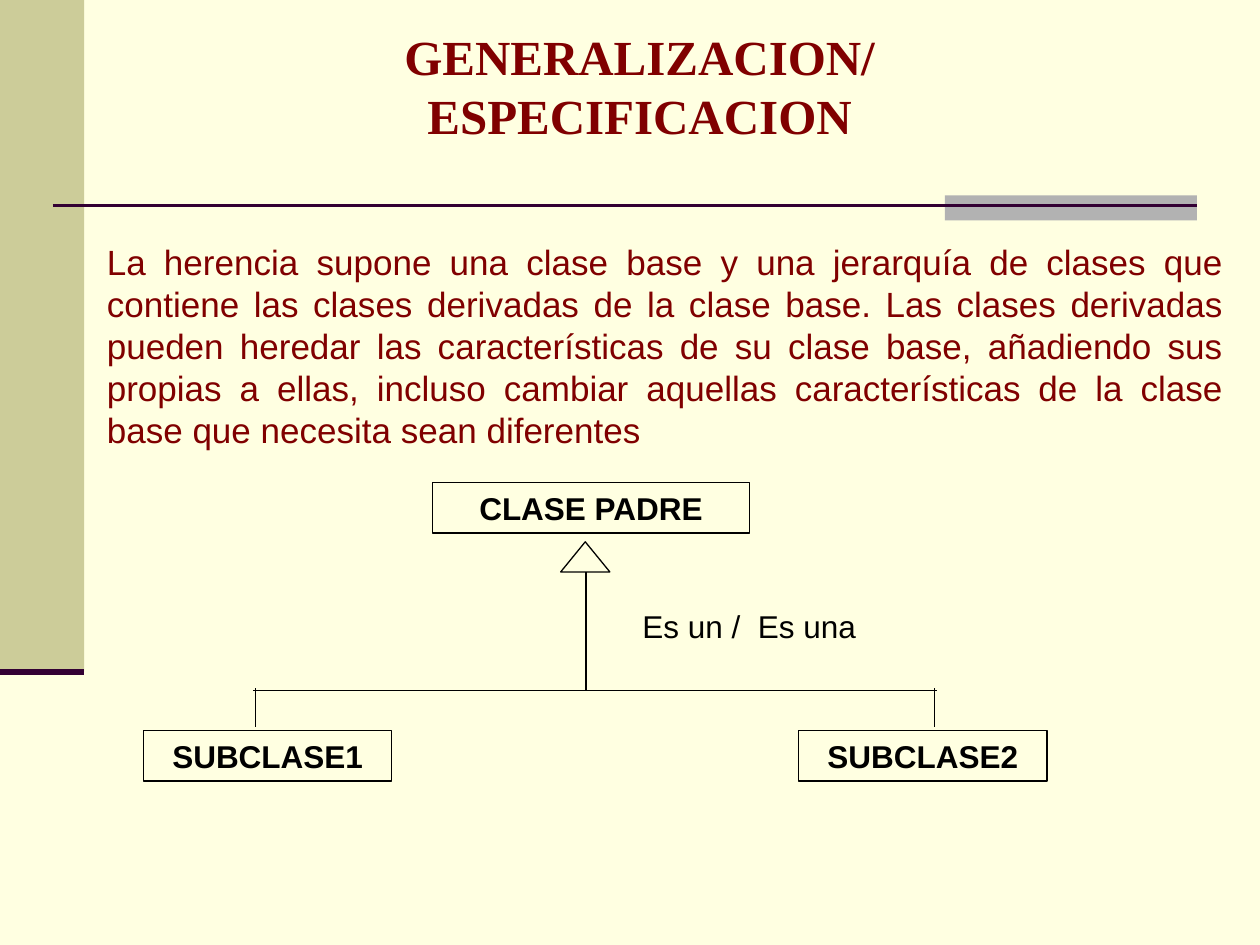
"""Build the generalization and specification slide with its class hierarchy diagram."""
from dataclasses import dataclass
from typing import Any, Optional

from lxml import etree
from pptx import Presentation
from pptx import util as u
from pptx.dml.color import RGBColor
from pptx.enum import shapes, text
from pptx.oxml import ns


@dataclass(frozen=True)
class Theme:
    """Hold the colours, fonts and sizes of the slide."""
    background: str = "FFFFE1"
    band: str = "CCCC99"
    tab: str = "B2B2B2"
    rule: str = "330033"
    heading: str = "800000"
    ink: str = "000000"
    title_font: str = "Times New Roman"
    body_font: str = "Arial"
    title_size: float = 28
    body_size: float = 20
    label_size: float = 18
    thin: float = 0.75


THEME = Theme()


@dataclass(frozen=True)
class Area:
    """Describe a rectangle in points."""
    left: float
    top: float
    width: float
    height: float

    def lengths(self) -> tuple:
        """Return the position and size as lengths."""
        return tuple(map(u.Pt, (self.left, self.top, self.width, self.height)))


@dataclass(frozen=True)
class TextStyle:
    """Describe how a text is set."""
    size: float = THEME.label_size
    color: str = THEME.ink
    bold: bool = False
    align: Any = text.PP_ALIGN.LEFT
    font: str = THEME.body_font
    wrap: bool = True


@dataclass(frozen=True)
class Block:
    """Describe a preset shape."""
    area: Area
    fill: Optional[str] = None
    line: Optional[str] = None
    preset: Any = shapes.MSO_SHAPE.RECTANGLE


@dataclass(frozen=True)
class Stroke:
    """Describe a straight line in points."""
    start: tuple
    end: tuple
    color: str = THEME.ink
    width: float = THEME.thin


@dataclass(frozen=True)
class ClassBox:
    """Describe a class of the hierarchy."""
    name: str
    area: Area


TITLE_STYLE = TextStyle(THEME.title_size, THEME.heading, True,
                        text.PP_ALIGN.CENTER, THEME.title_font, False)
BODY_STYLE = TextStyle(THEME.body_size, THEME.heading, align=text.PP_ALIGN.JUSTIFY)
CLASS_STYLE = TextStyle(bold=True, align=text.PP_ALIGN.CENTER)

BODY = (
    "La herencia supone una clase base y una jerarquía de clases que contiene "
    "las clases derivadas de la clase base. Las clases derivadas pueden heredar "
    "las características de su clase base, añadiendo sus propias a ellas, incluso "
    "cambiar aquellas características de la clase base que necesita sean diferentes"
)

BAND = Area(0, 0, 48.2, 383.8)
DECORATION = (
    Block(BAND, THEME.band),
    Block(Area(540, 111.6, 144, 14.4), THEME.tab),
)
RULES = (
    Stroke((30.2, 117.4), (684, 117.4), THEME.rule, 1.5),
    Stroke((0, BAND.height), (BAND.width, BAND.height), THEME.rule, 3.5),
)
CLASSES = (
    ClassBox("CLASE PADRE", Area(247, 275.8, 181.4, 28.8)),
    ClassBox("SUBCLASE1", Area(82.1, 417.6, 141.8, 28.8)),
    ClassBox("SUBCLASE2", Area(456.5, 417.6, 141.8, 28.8)),
)
ARROW = Block(Area(320.4, 309.6, 28.1, 17.2), line=THEME.ink,
              preset=shapes.MSO_SHAPE.ISOSCELES_TRIANGLE)
TRUNK_X, BUS_Y = 334.8, 394.6
BRANCHES = (146.2, 534.2)
OVERHANG = 1.4
TREE = (
    Stroke((TRUNK_X, 326.9), (TRUNK_X, BUS_Y)),
    Stroke((BRANCHES[0] - OVERHANG, BUS_Y), (BRANCHES[1] + OVERHANG, BUS_Y)),
    *(Stroke((x, BUS_Y - OVERHANG), (x, 415.4)) for x in BRANCHES),
)


def set_attributes(target: Any, values: dict) -> None:
    """Set each named value on the target."""
    for name, value in values.items():
        setattr(target, name, value)


def write(shape: Any, content: str, style: TextStyle) -> None:
    """Put styled text in a shape."""
    frame = shape.text_frame
    set_attributes(frame, {
        "text": content,
        "word_wrap": style.wrap,
        "auto_size": text.MSO_AUTO_SIZE.NONE,
        "vertical_anchor": text.MSO_ANCHOR.MIDDLE,
        "margin_left": u.Pt(7.2),
        "margin_right": u.Pt(7.2),
        "margin_top": u.Pt(3.6),
        "margin_bottom": u.Pt(3.6),
    })
    paragraph = frame.paragraphs[0]
    paragraph.alignment = style.align
    font = paragraph.runs[0].font
    set_attributes(font, {"name": style.font, "size": u.Pt(style.size), "bold": style.bold})
    font.color.rgb = RGBColor.from_string(style.color)


def draw_block(slide: Any, block: Block) -> Any:
    """Draw a preset shape and return it."""
    shape = slide.shapes.add_shape(block.preset, *block.area.lengths())
    shape.shadow.inherit = False
    for paint, color in ((shape.fill, block.fill), (shape.line.fill, block.line)):
        if color:
            paint.solid()
            paint.fore_color.rgb = RGBColor.from_string(color)
        else:
            paint.background()
    if block.line:
        shape.line.width = u.Pt(THEME.thin)
    return shape


def draw_stroke(slide: Any, stroke: Stroke) -> None:
    """Draw a straight line without a shadow."""
    connector = slide.shapes.add_connector(
        shapes.MSO_CONNECTOR.STRAIGHT, *map(u.Pt, stroke.start + stroke.end))
    connector.line.color.rgb = RGBColor.from_string(stroke.color)
    connector.line.width = u.Pt(stroke.width)
    etree.SubElement(connector._element.spPr, ns.qn("a:effectLst"))


def draw_text(slide: Any, content: str, area: Area, style: TextStyle) -> None:
    """Draw a text box."""
    write(slide.shapes.add_textbox(*area.lengths()), content, style)


def draw_title(slide: Any, content: str, area: Area) -> None:
    """Place and fill the title placeholder."""
    title = slide.shapes.title
    set_attributes(title, dict(zip(("left", "top", "width", "height"), area.lengths())))
    write(title, content, TITLE_STYLE)


def main() -> None:
    """Build and save the presentation."""
    presentation = Presentation()
    set_attributes(presentation, {"slide_width": u.Pt(720), "slide_height": u.Pt(540)})
    slide = presentation.slides.add_slide(presentation.slide_layouts[5])
    slide.background.fill.solid()
    slide.background.fill.fore_color.rgb = RGBColor.from_string(THEME.background)

    for block in DECORATION:
        draw_block(slide, block)
    for stroke in RULES:
        draw_stroke(slide, stroke)
    draw_title(slide, "GENERALIZACION/ESPECIFICACION", Area(110.2, 25.9, 510.5, 45.4))
    draw_text(slide, BODY, Area(54, 133.9, 652.3, 127.4), BODY_STYLE)
    for box in CLASSES:
        write(draw_block(slide, Block(box.area, line=THEME.ink)), box.name, CLASS_STYLE)
    draw_block(slide, ARROW)
    for stroke in TREE:
        draw_stroke(slide, stroke)
    draw_text(slide, "Es un /  Es una", Area(360, 343.4, 158.4, 28.8), TextStyle())
    presentation.save("out.pptx")


if __name__ == "__main__":
    main()
